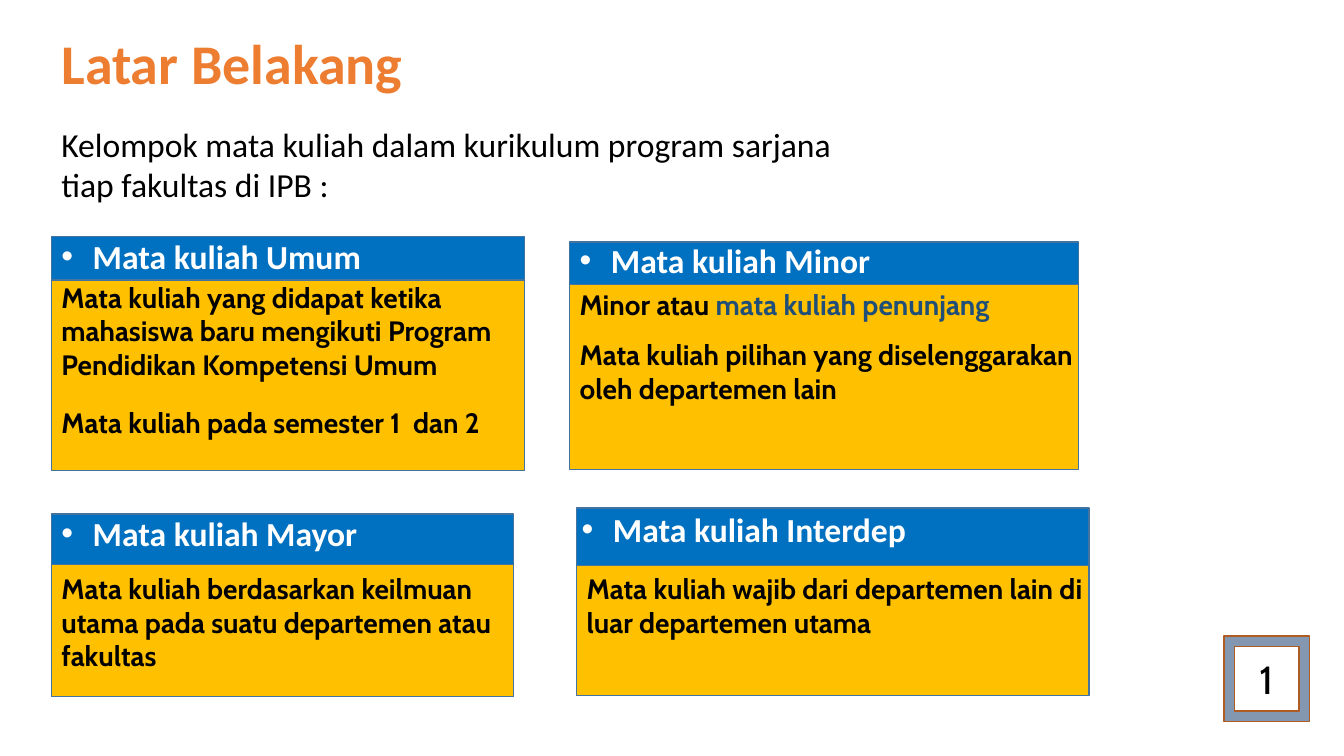
from lxml.etree import SubElement
from pptx import Presentation
from pptx.dml.color import RGBColor
from pptx.enum.shapes import MSO_SHAPE as Shape
from pptx.enum.text import PP_ALIGN as Align
from pptx.oxml.ns import qn
from pptx.util import Inches, Pt

BLACK = RGBColor(0x00, 0x00, 0x00)
WHITE = RGBColor(0xFF, 0xFF, 0xFF)
ORANGE = RGBColor(0xED, 0x7D, 0x31)
GOLD = RGBColor(0xFF, 0xC0, 0x00)
BLUE = RGBColor(0x00, 0x70, 0xC0)
NAVY = RGBColor(0x1F, 0x4E, 0x79)
STEEL = RGBColor(0x43, 0x73, 0x9E)
SLATE = RGBColor(0x84, 0x97, 0xB0)
RUST = RGBColor(0xAF, 0x5C, 0x24)

deck = Presentation()
deck.slide_width, deck.slide_height = Inches(13.33), Inches(7.5)
COLUMN, ROW = deck.slide_width / 100, deck.slide_height / 100
page = deck.slides.add_slide(deck.slide_layouts[6])


def add_block(kind, left, top, width, height, fill, line):
    block = page.shapes.add_shape(
        kind, int(left * COLUMN), int(top * ROW), int(width * COLUMN), int(height * ROW))
    block.shadow.inherit = False
    block.fill.solid()
    block.fill.fore_color.rgb = fill
    block.line.color.rgb = line
    block.line.width = Pt(1)


def add_text(left, top, width, height, runs, size, face, color, bold=False, bullet=False):
    box = page.shapes.add_textbox(
        int(left * COLUMN), int(top * ROW), int(width * COLUMN), int(height * ROW))
    box.text_frame.word_wrap = True
    para = box.text_frame.paragraphs[0]
    if bullet:
        properties = para._p.get_or_add_pPr()
        properties.set("marL", str(Inches(0.31)))
        properties.set("indent", str(-Inches(0.31)))
        SubElement(properties, qn("a:buFont")).set("typeface", "Arial")
        SubElement(properties, qn("a:buChar")).set("char", "•")
    para.font.size, para.font.name, para.font.bold = Pt(size), face, bold
    for words, tint in runs:
        span = para.add_run()
        span.text = words
        span.font.color.rgb = tint or color
    return box


MARGIN = 3.83
add_text(MARGIN, 3.07, 46.59, 10, [("Latar Belakang", None)], 40, "Calibri", ORANGE, True)
add_text(MARGIN, 15.73, 61.52, 12.13,
         [("Kelompok mata kuliah dalam kurikulum program sarjana tiap fakultas di IPB :", None)],
         24, "Calibri", BLACK)

cards = [
    ("Mata kuliah Umum", MARGIN, 31.33, 35.18, 5.73, 30.8, MARGIN, 30.53, [
        (36.4, 3, [("Mata kuliah yang didapat ketika mahasiswa baru mengikuti "
                    "Program Pendidikan Kompetensi Umum", None)]),
        (52.93, 1, [("Mata kuliah pada semester 1  dan 2", None)])]),
    ("Mata kuliah Minor", 42.39, 32, 37.88, 5.6, 30, 42.39, 31.07, [
        (37.33, 1, [("Minor atau ", None), ("mata kuliah penunjang", NAVY)]),
        (44, 2, [("Mata kuliah pilihan yang diselenggarakan oleh departemen lain", None)])]),
    ("Mata kuliah Mayor", MARGIN, 68, 34.36, 6.67, 24, MARGIN, 67.2, [
        (74.93, 3, [("Mata kuliah berdasarkan keilmuan utama pada suatu "
                     "departemen atau fakultas", None)])]),
    ("Mata kuliah Interdep", 42.91, 67.2, 38.11, 7.6, 24.67, 42.54, 66.67, [
        (74.93, 2, [("Mata kuliah wajib dari departemen lain di luar departemen utama", None)])]),
]
for heading, left, top, width, band, height, heading_left, heading_top, notes in cards:
    add_block(Shape.RECTANGLE, left, top + 0.13, width, height, GOLD, STEEL)
    add_block(Shape.RECTANGLE, left, top, width, band, BLUE, STEEL)
    add_text(heading_left, heading_top, 30, 6.67, [(heading, None)],
             24, "Calibri", WHITE, True, True)
    for note_top, lines, runs in notes:
        add_text(left, note_top, width + 0.68, 1.45 + 4.44 * lines, runs,
                 20, "Cabin", BLACK, True)

add_block(Shape.FRAME, 91.07, 84.13, 6.38, 11.33, SLATE, RUST)
number = add_text(92.95, 86, 2.55, 7.6, [("1", None)], 28, "Cabin", BLACK)
number.text_frame.word_wrap = False
number.text_frame.paragraphs[0].alignment = Align.CENTER

deck.save("out.pptx")
